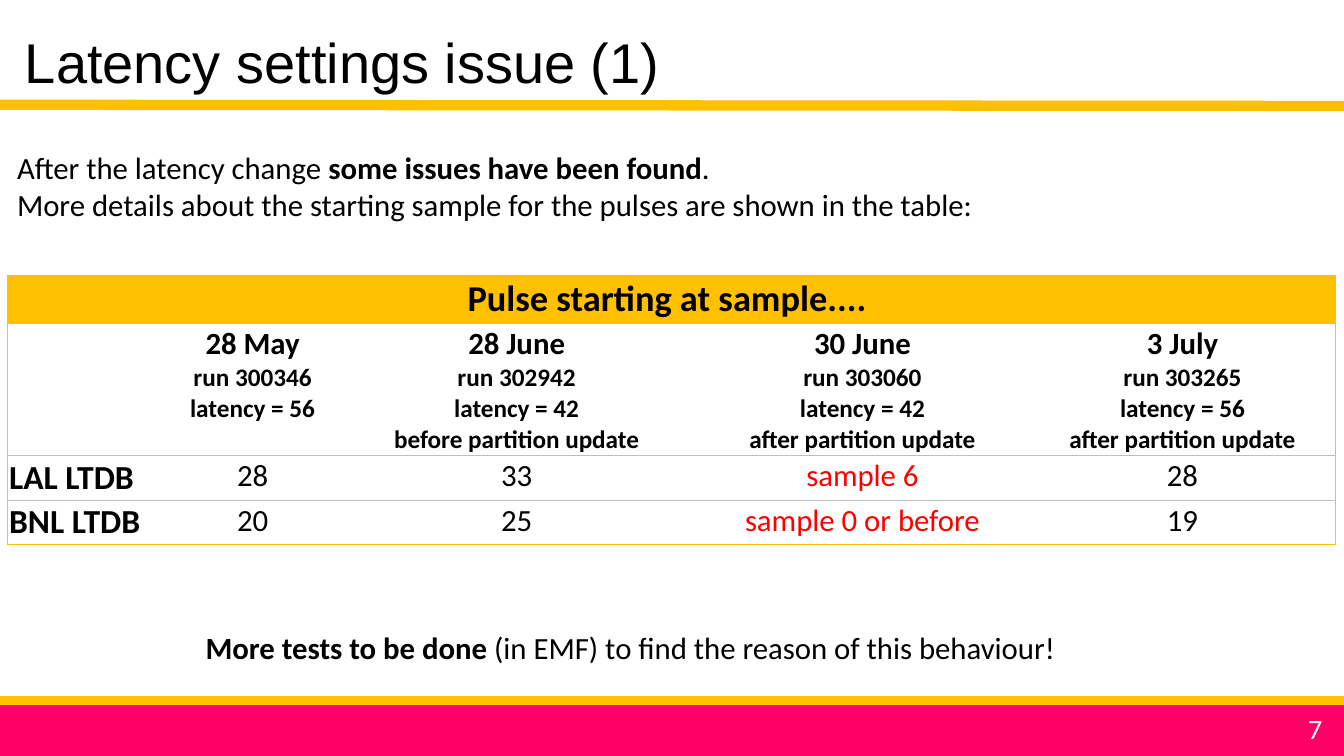
from dataclasses import dataclass

import pptx
import pptx.dml.color
import pptx.enum.shapes
import pptx.enum.text
import pptx.oxml
import pptx.oxml.ns
import pptx.util
from pptx.util import Cm

COLORS = {
    "gold": "FFC000",
    "pink": "FF0066",
    "black": "000000",
    "white": "FFFFFF",
    "red": "FF0000",
    "grey": "BFBFBF",
}
SLIDE_WIDTH, SLIDE_HEIGHT = 33.87, 19.05
CENTER = pptx.enum.text.PP_ALIGN.CENTER
LEFT = pptx.enum.text.PP_ALIGN.LEFT


@dataclass
class Rule:
    start_y: float
    end_y: float
    width: float


@dataclass
class Run:
    date: str
    details: list[str]
    lal_sample: str
    bnl_sample: str
    sample_color: str = "black"


@dataclass
class TextBox:
    left: float
    top: float
    width: float
    height: float
    wrap: bool = False


def rgb(name: str) -> pptx.dml.color.RGBColor:
    return pptx.dml.color.RGBColor.from_string(COLORS[name])


def write(paragraph, text: str, size: float = 22, bold: bool = False,
          color: str = "black", font: str = "Calibri", align=LEFT) -> None:
    """Append one formatted run to a paragraph."""
    paragraph.alignment = align
    run = paragraph.add_run()
    run.text = text
    run.font.name = font
    run.font.size = pptx.util.Pt(size)
    run.font.bold = bold
    run.font.color.rgb = rgb(color)


def add_text_box(slide, box: TextBox):
    frame = slide.shapes.add_textbox(
        Cm(box.left), Cm(box.top), Cm(box.width), Cm(box.height)).text_frame
    frame.word_wrap = box.wrap
    return frame


def add_rule(slide, rule: Rule) -> None:
    line = slide.shapes.add_connector(
        pptx.enum.shapes.MSO_CONNECTOR.STRAIGHT,
        0, Cm(rule.start_y), Cm(SLIDE_WIDTH), Cm(rule.end_y))
    line.line.color.rgb = rgb("gold")
    line.line.width = pptx.util.Pt(rule.width)
    line._element.spPr.append(pptx.oxml.parse_xml(
        f'<a:effectLst {pptx.oxml.ns.nsdecls("a")}/>'))


def set_borders(cell, edges: dict[str, str | None]) -> None:
    """Draw half-point borders; an edge with no colour stays blank."""
    properties = cell._tc.get_or_add_tcPr()
    for position, side in enumerate("LRTB"):
        color = edges[side]
        paint = (f'<a:solidFill><a:srgbClr val="{COLORS[color]}"/></a:solidFill>'
                 if color else "<a:noFill/>")
        properties.insert(position, pptx.oxml.parse_xml(
            f'<a:ln{side} {pptx.oxml.ns.nsdecls("a")} w="6350">{paint}</a:ln{side}>'))


def style_cell(table, row: int, column: int) -> None:
    cell = table.cell(row, column)
    cell.margin_left = cell.margin_right = Cm(0.05)
    cell.margin_top = cell.margin_bottom = Cm(0.05)
    if row == 0:
        cell.fill.solid()
        cell.fill.fore_color.rgb = rgb("gold")
    else:
        cell.fill.background()
    last_row, last_column = len(table.rows) - 1, len(table.columns) - 1
    set_borders(cell, {
        "L": "gold" if column == 0 else None,
        "R": "gold" if column == last_column else None,
        "T": "gold" if row <= 1 else "grey",
        "B": "gold" if row in (0, last_row) else "grey",
    })


def add_sample_table(slide, runs: list[Run]) -> None:
    column_widths = [4.04, 4.29, 9.02, 8.41, 7.72]
    row_heights = [1.22, 3.33, 1.12, 1.12]
    table = slide.shapes.add_table(
        len(row_heights), len(column_widths), Cm(0.18), Cm(6.93),
        Cm(sum(column_widths)), Cm(sum(row_heights))).table
    for column, width in zip(table.columns, column_widths):
        column.width = Cm(width)
    for row, height in zip(table.rows, row_heights):
        row.height = Cm(height)
    for row in range(len(row_heights)):
        for column in range(len(column_widths)):
            style_cell(table, row, column)

    # Heading across all columns
    heading = table.cell(0, 0)
    heading.merge(table.cell(0, len(column_widths) - 1))
    write(heading.text_frame.paragraphs[0], "Pulse starting at sample.... ",
          size=26, bold=True, align=CENTER)

    # Board names
    for row, board in enumerate(["LAL LTDB", "BNL LTDB"], start=2):
        write(table.cell(row, 0).text_frame.paragraphs[0], board, size=24, bold=True)

    # One column per run
    for column, run in enumerate(runs, start=1):
        frame = table.cell(1, column).text_frame
        write(frame.paragraphs[0], run.date, bold=True, align=CENTER)
        for detail in run.details:
            write(frame.add_paragraph(), detail, size=18, bold=True, align=CENTER)
        for row, sample in enumerate([run.lal_sample, run.bnl_sample], start=2):
            write(table.cell(row, column).text_frame.paragraphs[0], sample,
                  color=run.sample_color, align=CENTER)


def main() -> None:
    presentation = pptx.Presentation()
    presentation.slide_width = Cm(SLIDE_WIDTH)
    presentation.slide_height = Cm(SLIDE_HEIGHT)
    slide = presentation.slides.add_slide(presentation.slide_layouts[6])

    # Footer band and gold rules
    footer = slide.shapes.add_shape(
        pptx.enum.shapes.MSO_SHAPE.RECTANGLE,
        0, Cm(17.68), Cm(SLIDE_WIDTH), Cm(1.37))
    footer.shadow.inherit = False
    footer.fill.solid()
    footer.fill.fore_color.rgb = rgb("pink")
    footer.line.color.rgb = rgb("pink")
    footer.line.width = pptx.util.Pt(1)
    for rule in [Rule(2.69, 2.72, 4.5), Rule(17.65, 17.65, 6), Rule(2.59, 2.62, 4.5)]:
        add_rule(slide, rule)

    # Title and page number
    title = add_text_box(slide, TextBox(0.38, 0.56, 16.69, 1.96))
    write(title.paragraphs[0], "Latency settings issue (1)", size=40, font="Arial")
    page_number = add_text_box(slide, TextBox(32.72, 17.81, 0.86, 1.12))
    write(page_number.paragraphs[0], "7", size=20, color="white")

    # Samples per run
    add_sample_table(slide, [
        Run("28 May", ["run 300346", "latency = 56"], "28", "20"),
        Run("28 June", ["run 302942", "latency = 42", "before partition update"],
            "33", "25"),
        Run("30 June", ["run 303060", "latency = 42", "after partition update"],
            "sample 6", "sample 0 or before", "red"),
        Run("3 July", ["run 303265", "latency = 56", "after partition update"],
            "28", "19"),
    ])

    # Introduction
    introduction = add_text_box(slide, TextBox(0.18, 3.63, 31.22, 2.13, wrap=True))
    finding = introduction.paragraphs[0]
    write(finding, "After the latency change ")
    write(finding, "some issues have been found", bold=True)
    write(finding, ".")
    write(introduction.add_paragraph(),
          "More details about the starting sample for the pulses are shown in the table:")

    # Conclusion
    conclusion = add_text_box(slide, TextBox(4.93, 15.72, 22.05, 1.19)).paragraphs[0]
    write(conclusion, "More tests to be done ", bold=True)
    write(conclusion, "(in EMF) to find the reason of this behaviour!")

    presentation.save("out.pptx")


if __name__ == "__main__":
    main()
